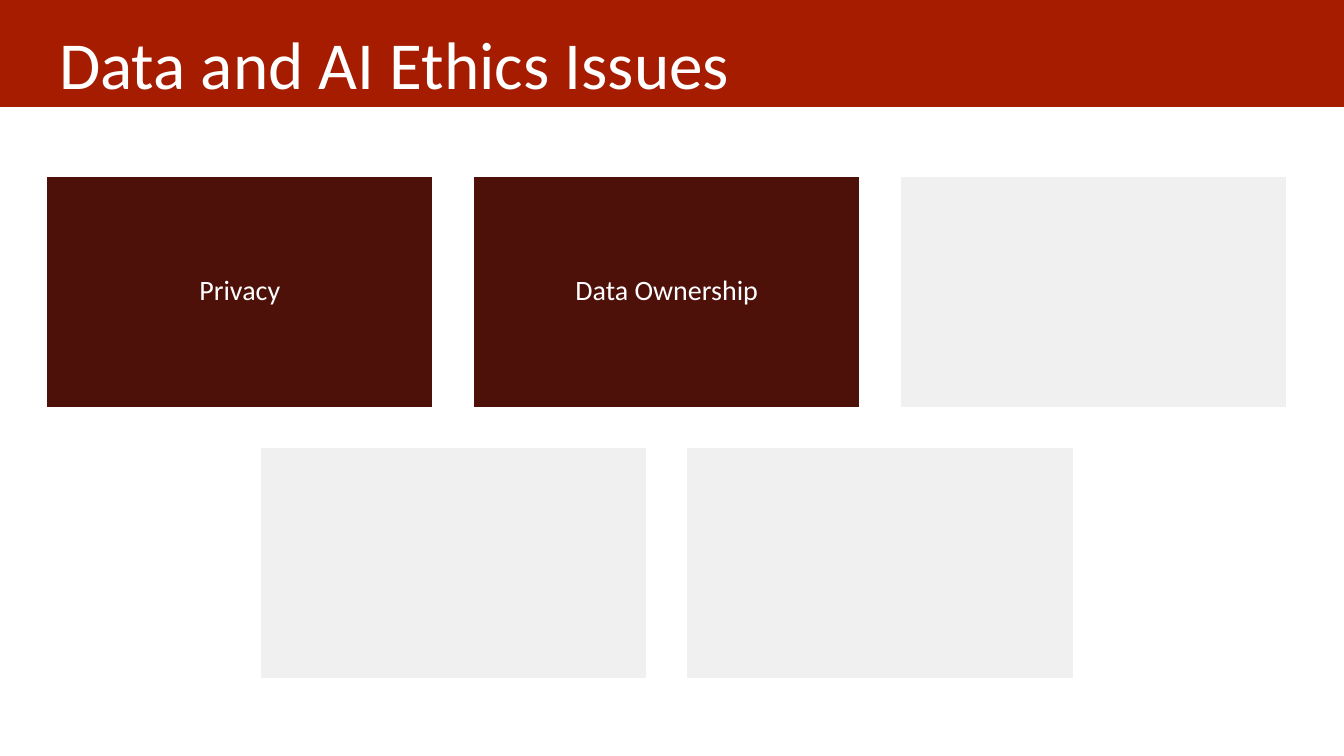
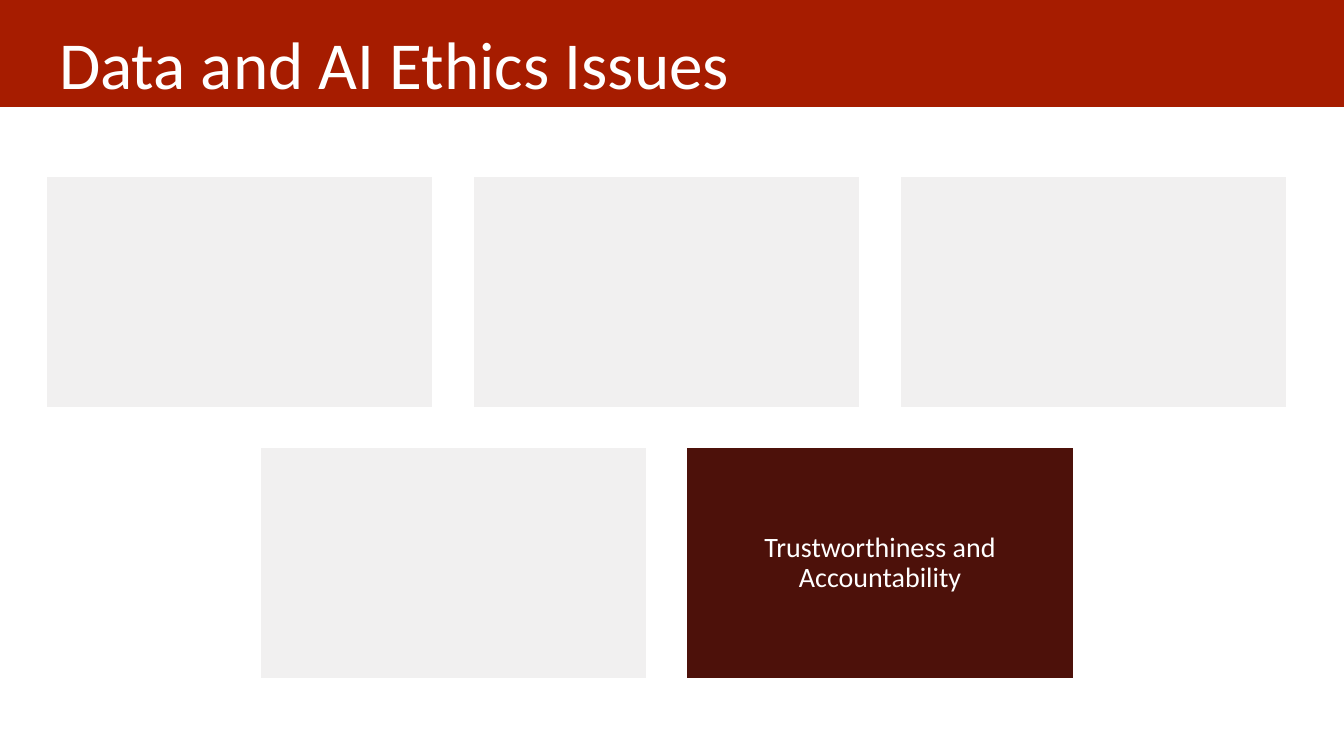
import pptx
import pptx.util
import pptx.dml.color
import pptx.enum.shapes
import pptx.enum.text

Pt = pptx.util.Pt
ALIGN = pptx.enum.text.PP_ALIGN
ANCHOR = pptx.enum.text.MSO_ANCHOR

# Content: one list of cards per row, an empty string is a muted card
TITLE = "Data and AI Ethics Issues"
SLIDES = [
    [["Privacy", "Data Ownership", ""], ["", ""]],
    [["", "", ""], ["", "Trustworthiness and Accountability"]],
]

# Shared style, lengths in points
COLORS = {"band": "A61C00", "active": "4D110A", "muted": "F1F0F0", "white": "FFFFFF"}
FONT = "Calibri"
PAGE_WIDTH, PAGE_HEIGHT = 960, 540
BAND_HEIGHT = 76.3
CARD_WIDTH, CARD_HEIGHT, GAP = 277.2, 166.3, 27.7
GRID_CENTER, GRID_TOP = 476.2, 125.3


def color(name):
    return pptx.dml.color.RGBColor.from_string(COLORS[name])


def write(box, text, *, size, align=ALIGN.LEFT, anchor=ANCHOR.TOP, inset=6, spacing=1.0):
    frame = box.text_frame
    frame.word_wrap = True
    frame.vertical_anchor = anchor
    frame.margin_left = frame.margin_top = Pt(inset)
    frame.margin_right = frame.margin_bottom = Pt(inset)
    para = frame.paragraphs[0]
    para.alignment = align
    para.line_spacing = spacing
    span = para.add_run()
    span.text = text
    span.font.name = FONT
    span.font.size = Pt(size)
    span.font.color.rgb = color("white")


def add_rectangle(page, left, top, width, height, fill, border=0):
    box = page.shapes.add_shape(
        pptx.enum.shapes.MSO_SHAPE.RECTANGLE, Pt(left), Pt(top), Pt(width), Pt(height))
    box.shadow.inherit = False
    box.fill.solid()
    box.fill.fore_color.rgb = color(fill)
    if border:
        box.line.color.rgb = color("white")
        box.line.width = Pt(border)
    else:
        box.line.fill.background()
    return box


def add_header(page):
    add_rectangle(page, 0, 0, PAGE_WIDTH, BAND_HEIGHT, "band")
    box = page.shapes.add_textbox(Pt(32.8), Pt(6.5), Pt(894), Pt(60))
    write(box, TITLE, size=48, inset=9.4)


def add_cards(page, rows):
    for row, issues in enumerate(rows):
        # Each row is centred on the grid
        row_width = len(issues) * (CARD_WIDTH + GAP) - GAP
        top = GRID_TOP + row * (CARD_HEIGHT + GAP)
        for column, issue in enumerate(issues):
            left = GRID_CENTER - row_width / 2 + column * (CARD_WIDTH + GAP)
            fill = "active" if issue else "muted"
            card = add_rectangle(page, left, top, CARD_WIDTH, CARD_HEIGHT, fill, border=2)
            if issue:
                write(card, issue, size=20, align=ALIGN.CENTER, anchor=ANCHOR.MIDDLE, spacing=0.9)


def main():
    deck = pptx.Presentation()
    deck.slide_width, deck.slide_height = Pt(PAGE_WIDTH), Pt(PAGE_HEIGHT)
    for rows in SLIDES:
        page = deck.slides.add_slide(deck.slide_layouts[6])
        add_header(page)
        add_cards(page, rows)
    deck.save("out.pptx")


if __name__ == "__main__":
    main()
